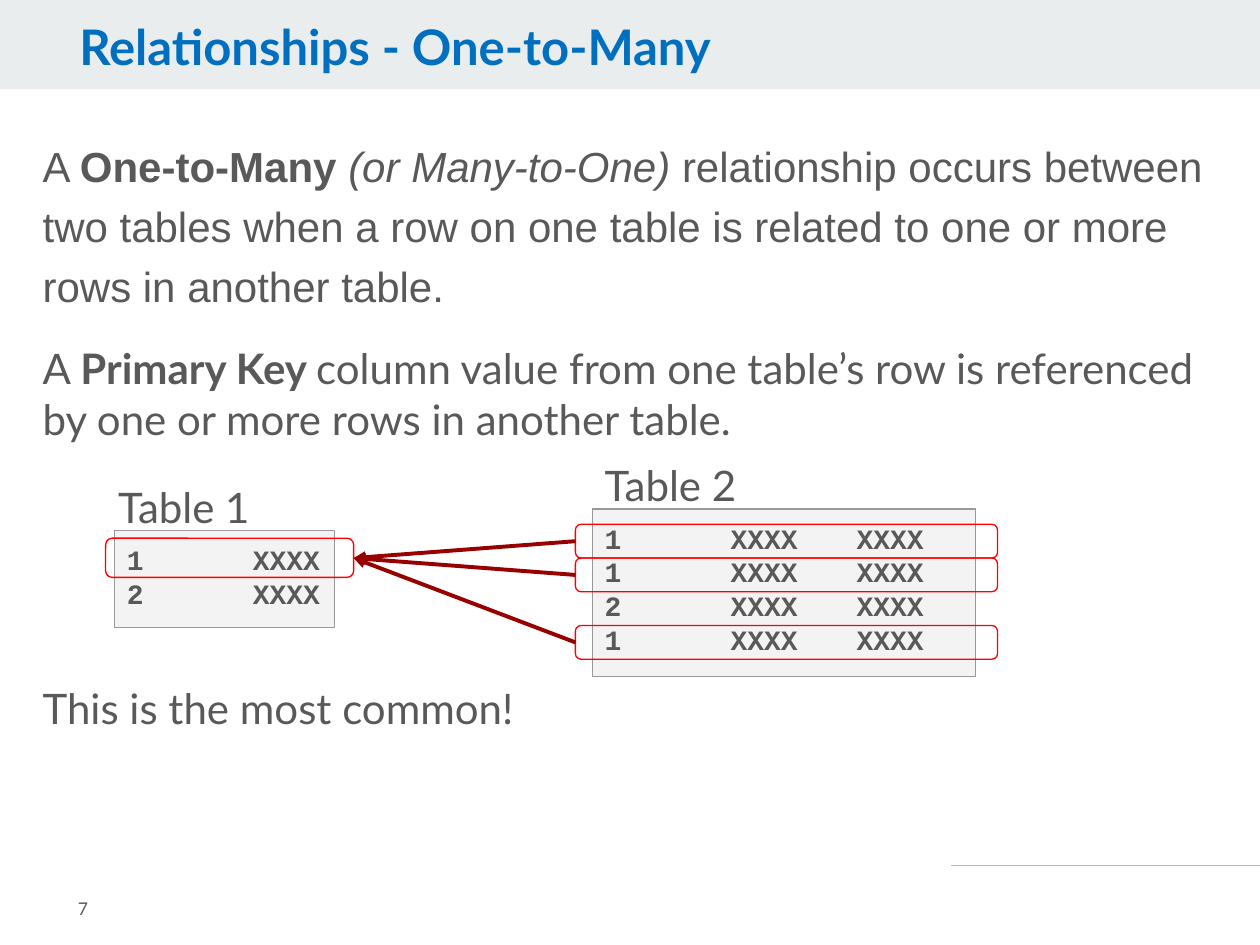
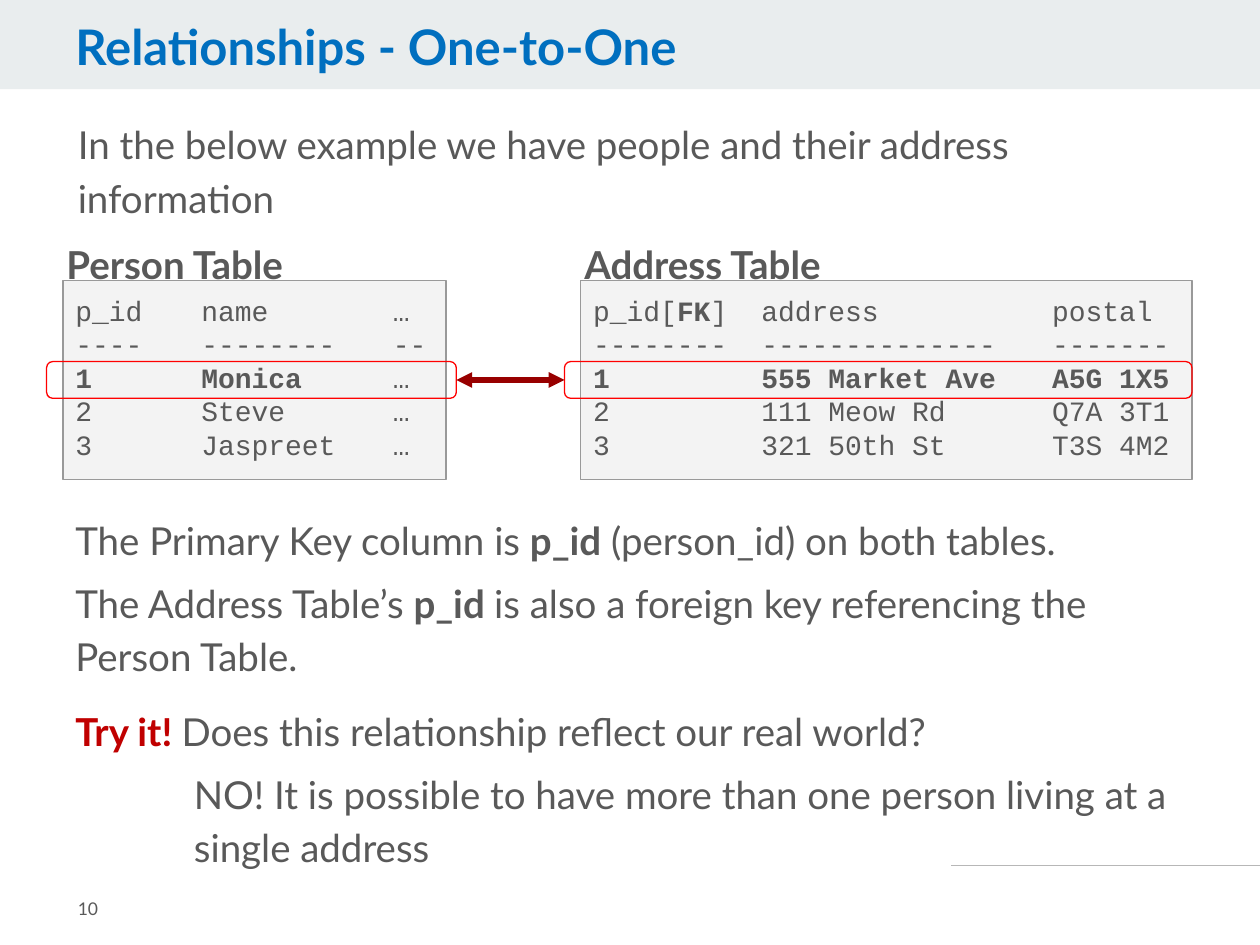
import pptx
import pptx.util
import pptx.dml.color
import pptx.enum.shapes
import pptx.enum.text
import pptx.oxml.ns
from lxml import etree

Cm, Pt = pptx.util.Cm, pptx.util.Pt
SHAPE = pptx.enum.shapes.MSO_SHAPE
ANCHOR = pptx.enum.text.MSO_ANCHOR

BODY, CODE, PLAIN = "Lato", "Courier New", "Arial"
TEXT, TITLE, BAND = "595959", "006FBF", "E9EDEE"
PANEL, PANEL_LINE, FOOT_LINE = "F3F3F3", "999999", "B7B7B7"
HIGHLIGHT, ARROW, ACCENT = "FF0000", "980000", "C00000"
BOLD = {"bold": True}


def rgb(hex_color):
    return pptx.dml.color.RGBColor.from_string(hex_color)


def add_xml(parent, tag, **attributes):
    return etree.SubElement(parent, pptx.oxml.ns.qn(tag), **attributes)


def style_run(r, size, font=BODY, color=TEXT, bold=False, italic=False):
    r.font.size, r.font.name = Pt(size), font
    r.font.bold, r.font.italic = bold, italic
    r.font.color.rgb = rgb(color)


def write(p, content, spacing=1.0, before=0, after=0, **style):
    """Fill a paragraph from a string or a list of (text, style changes)."""
    p.line_spacing = spacing
    p.space_before, p.space_after = Pt(before), Pt(after)
    if isinstance(content, str):
        content = [(content, {})]
    for text, changes in content:
        r = p.add_run()
        r.text = text
        style_run(r, **{**style, **changes})


def set_frame(tf, inset_y, anchor=ANCHOR.TOP):
    tf.word_wrap = True
    tf.vertical_anchor = anchor
    tf.margin_left = tf.margin_right = Cm(0.25)
    tf.margin_top = tf.margin_bottom = Cm(inset_y)


def add_text(s, x, y, w, h, paragraphs, inset_y=0.13, anchor=ANCHOR.TOP, **style):
    """Add a text box; each paragraph is (content, paragraph settings)."""
    tf = s.shapes.add_textbox(Cm(x), Cm(y), Cm(w), Cm(h)).text_frame
    set_frame(tf, inset_y, anchor)
    for i, (content, settings) in enumerate(paragraphs):
        p = tf.add_paragraph() if i else tf.paragraphs[0]
        write(p, content, **{**style, **settings})
    return tf


def add_label(s, x, y, text, **style):
    add_text(s, x, y, 7.4, 1.2, [(text, {})], spacing=1.15, **style)


def add_box(s, kind, x, y, w, h, fill=None, line=None):
    sp = s.shapes.add_shape(kind, Cm(x), Cm(y), Cm(w), Cm(h))
    sp.shadow.inherit = False
    if fill:
        sp.fill.solid()
        sp.fill.fore_color.rgb = rgb(fill)
    else:
        sp.fill.background()
    if line:
        sp.line.color.rgb = rgb(line)
        sp.line.width = Pt(0.75)
    else:
        sp.line.fill.background()
    return sp


def add_data_panel(s, x, y, w, h, rows, tabs, bold=False):
    """Add a grey panel of monospaced rows with columns at the tab stops."""
    tf = add_box(s, SHAPE.RECTANGLE, x, y, w, h, PANEL, PANEL_LINE).text_frame
    set_frame(tf, 0.25)
    for i, row in enumerate(rows):
        p = tf.add_paragraph() if i else tf.paragraphs[0]
        p.alignment = pptx.enum.text.PP_ALIGN.LEFT
        write(p, row, size=16, font=CODE, bold=bold)
        tab_list = add_xml(p._p.get_or_add_pPr(), "a:tabLst")
        for tab in tabs:
            add_xml(tab_list, "a:tab", pos=str(Cm(tab)), algn="l")


def add_highlight(s, x, y, w, h):
    add_box(s, SHAPE.ROUNDED_RECTANGLE, x, y, w, h, line=HIGHLIGHT)


def add_line(s, x1, y1, x2, y2, color, width, arrow_ends=()):
    """Add a line; arrow_ends names the ends with a triangle."""
    c = s.shapes.add_connector(pptx.enum.shapes.MSO_CONNECTOR.STRAIGHT,
                               Cm(x1), Cm(y1), Cm(x2), Cm(y2))
    c.line.color.rgb = rgb(color)
    c.line.width = Pt(width)
    for end in arrow_ends:
        add_xml(c.line._get_or_add_ln(), f"a:{end}", type="triangle")
    add_xml(c._element.spPr, "a:effectLst")


def add_base_slide(prs, title, title_x, number):
    s = prs.slides.add_slide(prs.slide_layouts[6])
    add_line(s, 19.18, 17.45, 25.4, 17.45, FOOT_LINE, 0.75)
    add_box(s, SHAPE.RECTANGLE, 0, 0, 25.4, 1.8, BAND)
    add_text(s, title_x, 0.33, 22, 1.4, [(title, {})],
             spacing=0.9, size=28, color=TITLE, bold=True)
    add_text(s, 1.32, 17.6, 3.12, 1.45, [(number, {})],
             inset_y=0.25, anchor=ANCHOR.MIDDLE, size=10)
    return s


def build_one_to_many(prs):
    s = add_base_slide(prs, "Relationships - One-to-Many", 1.35, "7")
    add_text(s, 0.61, 2.49, 24.28, 6.5, [
        ([("A ", {}), ("One-to-Many ", BOLD),
          ("(or Many-to-One) ", {"italic": True}),
          ("relationship occurs between two tables when a row on one table "
           "is related to one or more rows in another table.", {})],
         {"font": PLAIN, "spacing": 1.2}),
        ([("A ", {}), ("Primary Key ", BOLD),
          ("column value from one table’s row is referenced by one or more "
           "rows in another table.", {})], {"before": 18}),
    ], size=24)
    add_text(s, 0.61, 13.62, 24.28, 1.4, [("This is the most common!", {})], size=24)

    tabs = [2.54, 5.08]
    add_data_panel(s, 11.94, 10.26, 7.72, 3.38,
                   [f"{key}\tXXXX\tXXXX" for key in (1, 1, 2, 1)], tabs, bold=True)
    add_data_panel(s, 2.31, 10.69, 4.44, 1.96,
                   [f"{key}\tXXXX" for key in (1, 2)], tabs, bold=True)
    add_label(s, 2.13, 9.42, "Table 1", size=24)
    add_label(s, 11.94, 8.99, "Table 2", size=24)

    add_highlight(s, 2.13, 10.85, 5.0, 0.79)
    row_tops = [10.57 + 0.68 * row for row in (0, 1, 3)]
    for top in row_tops:
        add_highlight(s, 11.6, top, 8.51, 0.68)
    for top in row_tops:
        add_line(s, 7.13, 11.25, 11.6, top + 0.34, ARROW, 2.25, ["headEnd"])


def build_one_to_one(prs):
    s = add_base_slide(prs, "Relationships - One-to-One", 1.27, "10")
    add_text(s, 1.32, 2.18, 23.06, 2.29,
             [("In the below example we have people and their address information", {})],
             spacing=1.15, size=22)

    add_data_panel(s, 1.27, 5.66, 7.72, 4.01, [
        "p_id\tname\t…",
        "----\t--------\t--",
        [("1\tMonica", BOLD), ("\t…", {})],
        "2\tSteve\t…",
        "3\tJaspreet\t…",
    ], [2.54, 6.4])
    add_data_panel(s, 11.71, 5.66, 12.32, 4.01, [
        [("p_id[", {}), ("FK", BOLD), ("]\taddress\tpostal", {})],
        "--------\t--------------\t-------",
        [("1\t555 Market Ave\tA5G 1X5", BOLD)],
        "2\t111 Meow Rd\tQ7A 3T1",
        "3\t321 50th St\tT3S 4M2",
    ], [3.39, 9.25])
    add_highlight(s, 0.94, 7.29, 8.26, 0.74)
    add_highlight(s, 11.38, 7.29, 12.65, 0.74)
    add_line(s, 9.2, 7.66, 11.38, 7.66, ARROW, 3, ["headEnd", "tailEnd"])
    add_label(s, 1.09, 4.6, "Person Table", size=22, bold=True)
    add_label(s, 11.53, 4.6, "Address Table", size=22, bold=True)

    tf = add_text(s, 1.27, 10.03, 23.42, 6.58, [
        ([("The Primary Key column is ", {}), ("p_id", BOLD),
          (" (person_id) on both tables.", {})], {}),
        ([("The Address Table’s ", {}), ("p_id ", BOLD),
          ("is also a foreign key referencing the Person Table.", {})],
         {"before": 6, "after": 6}),
        ([("Try it! ", {"color": ACCENT, "bold": True}),
          ("Does this relationship reflect our real world?", {})], {"before": 6}),
        ("NO! It is possible to have more than one person living at a "
         "single address", {"before": 6}),
    ], inset_y=0.25, spacing=1.15, size=22)
    answer = tf.paragraphs[-1]
    answer._p.get_or_add_pPr().set("marL", str(Cm(2.39)))


def main():
    prs = pptx.Presentation()
    prs.slide_width, prs.slide_height = Cm(25.4), Cm(19.05)
    build_one_to_many(prs)
    build_one_to_one(prs)
    prs.save("out.pptx")


if __name__ == "__main__":
    main()
